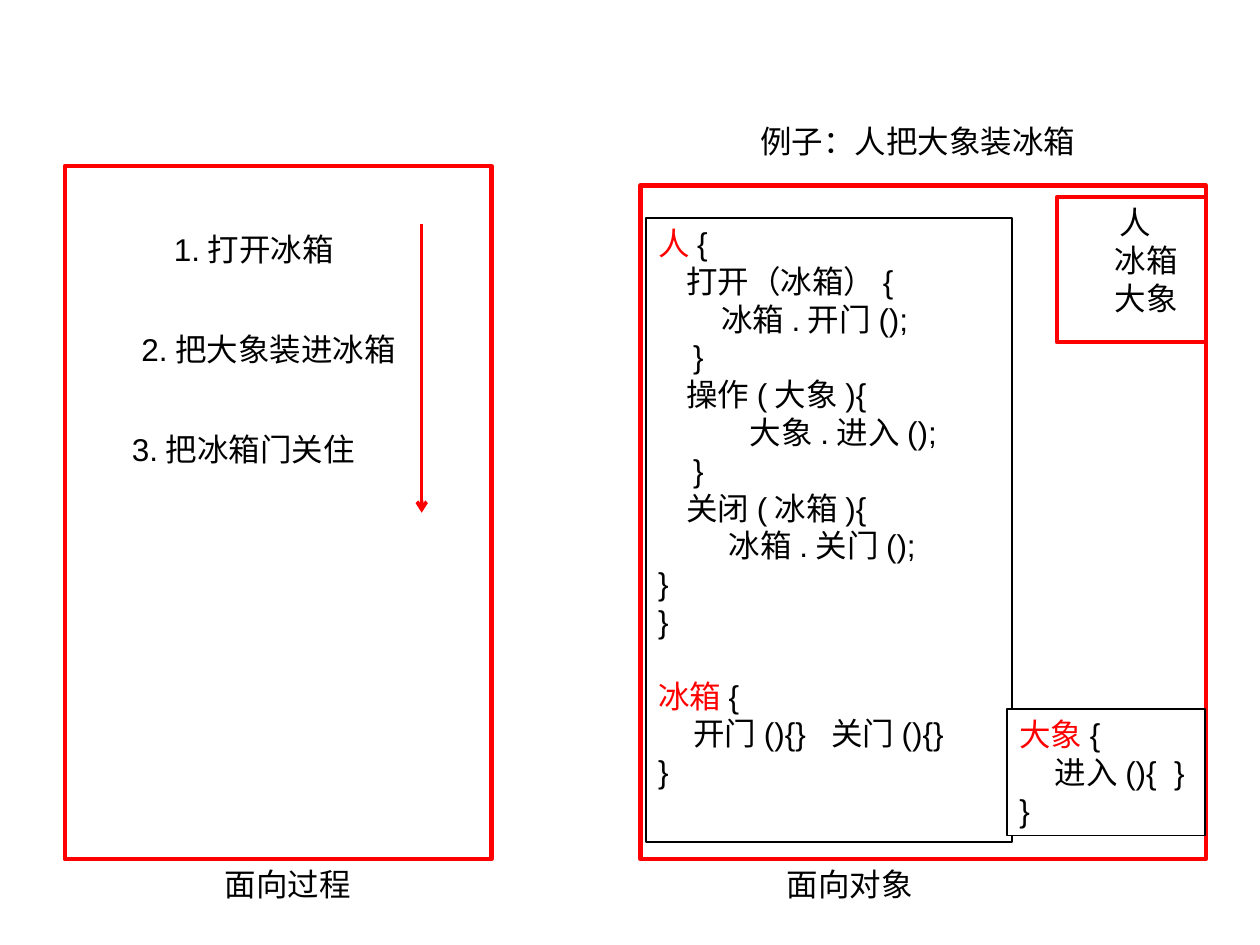
from lxml import etree
from pptx import Presentation
from pptx.dml.color import RGBColor
from pptx.enum import shapes, text
from pptx.oxml import ns
from pptx.util import Pt

COLORS = {"accent": "FF0000", "ink": "000000", "paper": "FFFFFF"}
FONT, SIZE = "Arial", 18
LABEL_HEIGHT = 29
CENTER, LEFT = text.PP_ALIGN.CENTER, text.PP_ALIGN.LEFT

STEPS = [("1.打开冰箱", 170), ("2.把大象装进冰箱", 187), ("3.把冰箱门关住", 158)]
PERSON_CODE = [
    "{",
    "    打开（冰箱）{",
    "\t冰箱.开门();",
    "    }",
    "    操作(大象){",
    "             大象.进入();",
    "    }",
    "    关闭(冰箱){",
    "          冰箱.关门();",
    "}",
    "}",
]
FRIDGE_CODE = ["{", "     开门(){}  关门(){}", "}"]
ELEPHANT_CODE = ["{", "     进入(){  }", "}"]


def color(name):
    return RGBColor.from_string(COLORS[name])


def add_run(paragraph, words, ink="ink"):
    run = paragraph.add_run()
    run.text = words
    run.font.name, run.font.size = FONT, Pt(SIZE)
    run.font.color.rgb = color(ink)


def prepare(frame):
    frame.word_wrap = True
    frame.auto_size = text.MSO_AUTO_SIZE.NONE
    frame.vertical_anchor = text.MSO_ANCHOR.TOP
    frame.margin_left = frame.margin_right = Pt(7.2)
    frame.margin_top = frame.margin_bottom = Pt(3.6)


def next_paragraph(frame, align):
    first = frame.paragraphs[0]
    paragraph = frame.add_paragraph() if first.runs else first
    paragraph.alignment = align
    return paragraph


def add_label(slide, box, lines):
    frame = slide.shapes.add_textbox(*map(Pt, box)).text_frame
    prepare(frame)
    for line in lines:
        add_run(next_paragraph(frame, CENTER), line)
    return frame


def add_frame(slide, box, line="accent", width=2.5, fill=None):
    rect = slide.shapes.add_shape(shapes.MSO_SHAPE.RECTANGLE, *map(Pt, box))
    rect.shadow.inherit = False
    rect.line.color.rgb, rect.line.width = color(line), Pt(width)
    if fill:
        rect.fill.solid()
        rect.fill.fore_color.rgb = color(fill)
    else:
        rect.fill.background()
    return rect


def add_code(slide, box, classes):
    """Boxed code; each class name stands in the accent colour."""
    frame = add_frame(slide, box, "ink", 1, "paper").text_frame
    prepare(frame)
    for number, (class_name, lines) in enumerate(classes):
        for row, line in enumerate(lines):
            paragraph = next_paragraph(frame, LEFT)
            if row == 0:
                add_run(paragraph, class_name, "accent")
                if number:
                    paragraph.space_before = Pt(21)
            add_run(paragraph, line)


def add_down_arrow(slide, x, top, bottom):
    arrow = slide.shapes.add_connector(
        shapes.MSO_CONNECTOR.STRAIGHT, Pt(x), Pt(top), Pt(x), Pt(bottom))
    arrow.line.color.rgb, arrow.line.width = color("accent"), Pt(2)
    etree.SubElement(arrow.line._get_or_add_ln(), ns.qn("a:tailEnd"), type="arrow")
    etree.SubElement(arrow._element.spPr, ns.qn("a:effectLst"))


def place_title(slide, box):
    title = slide.shapes.title
    title.left, title.top, title.width, title.height = map(Pt, box)
    prepare(title.text_frame)
    add_run(next_paragraph(title.text_frame, CENTER), "例子：人把大象装冰箱")


def procedural(slide, left, top, width, height):
    add_frame(slide, (left, top, width, height))
    add_label(slide, (left + 11, top + height, width - 11, LABEL_HEIGHT), ["面向过程"])
    # Steps, evenly spaced, beside the arrow of time
    for row, (step, step_width) in enumerate(STEPS):
        add_label(slide, (left + 23, top + 33 + 57 * row, step_width, LABEL_HEIGHT), [step])
    add_down_arrow(slide, left + 204, top + 33, top + 198)


def object_oriented(slide, left, top, width, height):
    add_frame(slide, (left, top, width, height))
    add_label(slide, (left + 9, top + height, 221, LABEL_HEIGHT), ["面向对象"])
    # List of objects, the first one set slightly to the left
    add_frame(slide, (left + width - 85, top + 6.5, 85, 83))
    objects = add_label(slide, (left + width - 80, top + 6.5, 80, 73), ["人", "冰箱", "大象"])
    for paragraph in objects.paragraphs[1:]:
        properties = paragraph._p.get_or_add_pPr()
        properties.set("marL", str(Pt(12)))
        properties.set("indent", "0")
    # Classes
    add_code(slide, (left + 3, top + 18.5, 209.5, 356.5),
             [("人", PERSON_CODE), ("冰箱", FRIDGE_CODE)])
    add_code(slide, (left + 209.5, top + 299, 113, 72.5), [("大象", ELEPHANT_CODE)])


def main():
    deck = Presentation()
    deck.slide_width, deck.slide_height = Pt(720), Pt(540)
    slide = deck.slides.add_slide(deck.slide_layouts[5])
    place_title(slide, (377, 66, 295, LABEL_HEIGHT))
    procedural(slide, 37, 95, 244, 396)
    object_oriented(slide, 366, 106, 323, 385)
    deck.save("out.pptx")


if __name__ == "__main__":
    main()
